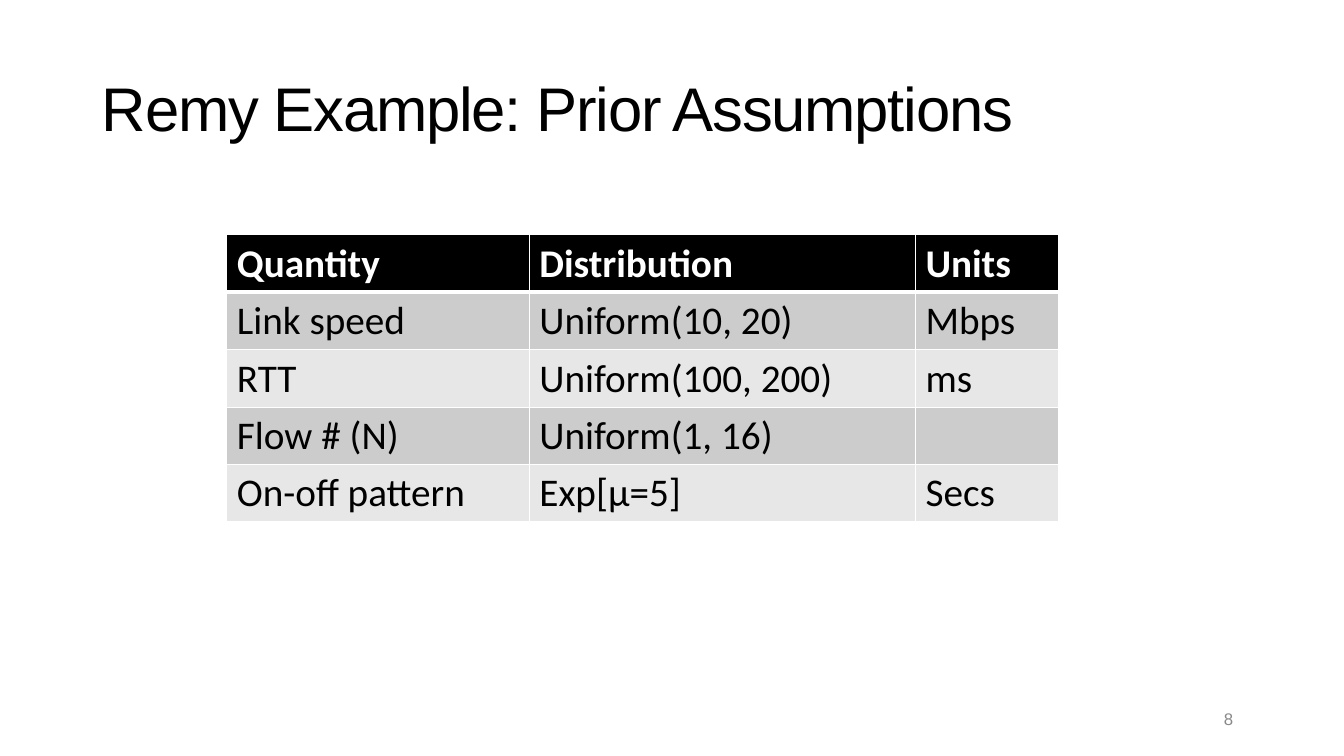
from lxml.etree import SubElement
from pptx import Presentation
from pptx.dml.color import RGBColor as Color
from pptx.oxml.ns import qn
from pptx.util import Inches, Pt

TITLE = "Remy Example: Prior Assumptions"
PAGE_NUMBER = "8"
ASSUMPTIONS = [
    ("Quantity", "Distribution", "Units"),
    ("Link speed", "Uniform(10, 20)", "Mbps"),
    ("RTT", "Uniform(100, 200)", "ms"),
    ("Flow # (N)", "Uniform(1, 16)", ""),
    ("On-off pattern", "Exp[µ=5]", "Secs"),
]
COLUMN_WIDTHS = (3, 3.83, 1.42)
ROW_HEIGHT = 0.57
TABLE_LEFT, TABLE_TOP = 2.25, 2.33

THEME = {
    "title": {"name": "Arial", "size": Pt(44), "color": "000000"},
    "page": {"name": "Arial", "size": Pt(12), "color": "898989"},
    "header": {"name": "Calibri", "size": Pt(28), "bold": True, "color": "FFFFFF"},
    "body": {"name": "Calibri", "size": Pt(28), "bold": False, "color": "000000"},
    "header_fill": "000000",
    "band_fills": ("CCCCCC", "E7E7E7"),
    "border": "FFFFFF",
}


def add_run(paragraph, text, style, spacing=0):
    run = paragraph.add_run()
    run.text = text
    for name, value in THEME[style].items():
        if name == "color":
            run.font.color.rgb = Color.from_string(value)
        else:
            setattr(run.font, name, value)
    if spacing:
        run._r.get_or_add_rPr().set("spc", str(int(spacing * 100)))


def add_label(slide, text, style, box, spacing, **frame_format):
    frame = slide.shapes.add_textbox(*map(Inches, box)).text_frame
    settings = {"margin_left": 0, "margin_top": 0, "margin_right": 0,
                "margin_bottom": 0, "word_wrap": True, **frame_format}
    for name, value in settings.items():
        setattr(frame, name, value)
    paragraph = frame.paragraphs[0]
    add_run(paragraph, text, style, spacing)
    return paragraph


def set_borders(cell, widths):
    properties = cell._tc.get_or_add_tcPr()
    for position, (side, width) in enumerate(widths.items()):
        line = properties.makeelement(qn(f"a:{side}"), {"w": str(Pt(width))})
        properties.insert(position, line)
        fill = SubElement(line, qn("a:solidFill"))
        SubElement(fill, qn("a:srgbClr"), val=THEME["border"])


def add_assumptions(slide):
    size = (sum(COLUMN_WIDTHS), ROW_HEIGHT * len(ASSUMPTIONS))
    table = slide.shapes.add_table(
        len(ASSUMPTIONS), len(COLUMN_WIDTHS),
        *map(Inches, (TABLE_LEFT, TABLE_TOP, *size))).table
    for column, width in zip(table.columns, COLUMN_WIDTHS):
        column.width = Inches(width)
    for row_index, texts in enumerate(ASSUMPTIONS):
        is_header = row_index == 0
        bands = THEME["band_fills"]
        fill = THEME["header_fill"] if is_header else bands[(row_index - 1) % len(bands)]
        widths = {"lnL": 1, "lnR": 1, "lnT": 3 if row_index == 1 else 1,
                  "lnB": 3 if is_header else 1}
        for column_index, text in enumerate(texts):
            cell = table.cell(row_index, column_index)
            cell.fill.solid()
            cell.fill.fore_color.rgb = Color.from_string(fill)
            set_borders(cell, widths)
            if text:
                add_run(cell.text_frame.paragraphs[0], text,
                        "header" if is_header else "body")


def main():
    presentation = Presentation()
    presentation.slide_width = Inches(13.33)
    presentation.slide_height = Inches(7.5)
    slide = presentation.slides.add_slide(presentation.slide_layouts[6])
    add_label(slide, TITLE, "title", (1, 0.67, 11.16, 0.75), -0.9,
              margin_left=Inches(0.01), margin_top=Inches(0.02))
    page = add_label(slide, PAGE_NUMBER, "page", (12.11, 7.05, 0.23, 0.2), -0.4,
                     margin_left=Inches(0.03))
    page.line_spacing = Pt(13.1)
    add_assumptions(slide)
    presentation.save("out.pptx")


if __name__ == "__main__":
    main()
